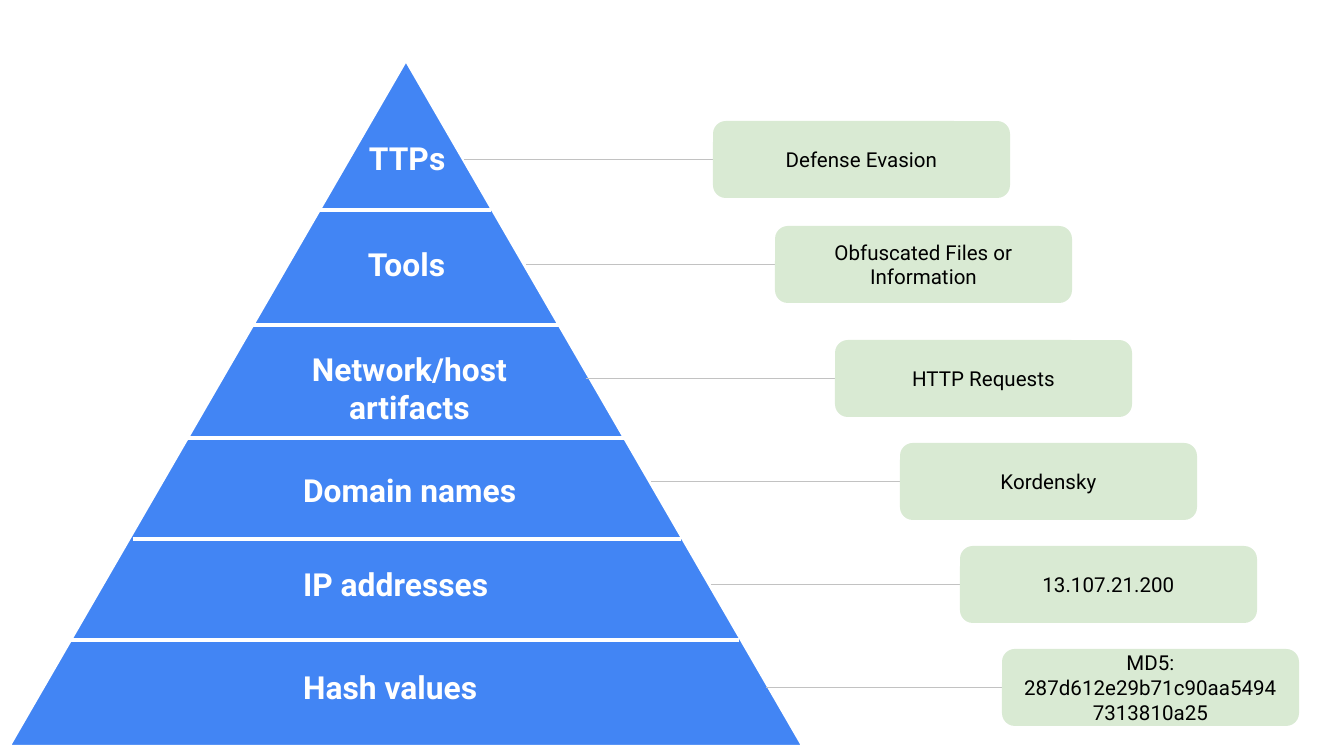
import pptx
import pptx.util
import pptx.dml.color
import pptx.enum.shapes
import pptx.enum.text
import pptx.oxml.ns
import lxml.etree

SHAPES = pptx.enum.shapes.MSO_SHAPE
CONNECTORS = pptx.enum.shapes.MSO_CONNECTOR
ALIGN = pptx.enum.text.PP_ALIGN
ANCHOR = pptx.enum.text.MSO_ANCHOR
EMU_PER_PIXEL = 914400 / 134.4


def px(length):
    return pptx.util.Emu(round(length * EMU_PER_PIXEL))


def color(value):
    return pptx.dml.color.RGBColor.from_string(value)


def write_text(frame, text, size=11, ink="000000", bold=False,
               align=ALIGN.LEFT, anchor=ANCHOR.TOP, grow=False):
    frame.word_wrap = True
    if grow:
        frame.auto_size = pptx.enum.text.MSO_AUTO_SIZE.SHAPE_TO_FIT_TEXT
    frame.vertical_anchor = anchor
    frame.margin_left = frame.margin_right = px(13)
    frame.margin_top = frame.margin_bottom = px(13)
    paragraph = frame.paragraphs[0]
    paragraph.alignment = align
    run = paragraph.add_run()
    run.text = text
    run.font.name = "Roboto"
    run.font.size = pptx.util.Pt(size)
    run.font.bold = bold
    run.font.color.rgb = color(ink)


class PyramidSlide:
    blue, green, gray, white = "4285F4", "D9EAD3", "C2C2C2", "FFFFFF"

    def __init__(self, presentation):
        self.slide = presentation.slides.add_slide(presentation.slide_layouts[6])
        self.shapes = self.slide.shapes

    def line(self, shapes, kind, x1, x2, y, ink, width):
        connector = shapes.add_connector(kind, px(x1), px(y), px(x2), px(y))
        connector.line.color.rgb = color(ink)
        connector.line.width = pptx.util.Pt(width)
        lxml.etree.SubElement(connector._element.spPr,
                              pptx.oxml.ns.qn("a:effectLst"))
        return connector

    def pyramid(self, box, dividers):
        group = self.shapes.add_group_shape()
        triangle = group.shapes.add_shape(SHAPES.ISOSCELES_TRIANGLE,
                                          *[px(length) for length in box])
        triangle.shadow.inherit = False
        triangle.fill.solid()
        triangle.fill.fore_color.rgb = color(self.blue)
        triangle.line.color.rgb = color(self.white)
        triangle.line.width = pptx.util.Pt(2.25)
        for x1, x2, y in dividers:
            self.line(group.shapes, CONNECTORS.STRAIGHT, x1, x2, y, self.white, 2.25)

    def label(self, text, left, top, width, height, align=ALIGN.LEFT):
        box = self.shapes.add_textbox(px(left), px(top), px(width), px(height))
        write_text(box.text_frame, text, size=17, ink=self.white, bold=True,
                   align=align, grow=True)

    def example(self, text, left, top, reach):
        width, height = 297, 77
        connector = self.line(self.shapes, CONNECTORS.ELBOW, left - reach, left,
                              top + height / 2, self.gray, 0.75)
        card = self.shapes.add_shape(SHAPES.ROUNDED_RECTANGLE, px(left), px(top),
                                     px(width), px(height))
        connector.end_connect(card, 1)
        card.shadow.inherit = False
        card.fill.solid()
        card.fill.fore_color.rgb = color(self.green)
        card.line.fill.background()
        write_text(card.text_frame, text, align=ALIGN.CENTER, anchor=ANCHOR.MIDDLE)


presentation = pptx.Presentation()
presentation.slide_width = px(1344)
presentation.slide_height = px(756)
page = PyramidSlide(presentation)

# Pyramid with its level dividers: x from, x to, y
page.pyramid((8, 59, 796, 688), [
    (320, 491, 210), (253, 560, 325), (187, 624, 438),
    (133, 681, 539), (71, 739, 640),
])

# Level names
page.label("TTPs", 356, 126, 118, 66)
page.label("Tools", 355, 232, 118, 66)
page.label("Network/host artifacts", 263, 337, 293, 103, ALIGN.CENTER)
for text, top in (("Domain names", 458), ("IP addresses", 552), ("Hash values", 655)):
    page.label(text, 290, top, 301, 66)

# Example cards, each joined to its level: text, left, top, connector length
for example in (
    ("Defense Evasion", 713, 121, 249),
    ("Obfuscated Files or Information", 775, 226, 249),
    ("HTTP Requests", 835, 340, 249),
    ("Kordensky", 900, 443, 249),
    ("13.107.21.200", 960, 546, 249),
    ("MD5: 287d612e29b71c90aa54947313810a25", 1002, 649, 236),
):
    page.example(*example)

presentation.save("out.pptx")
